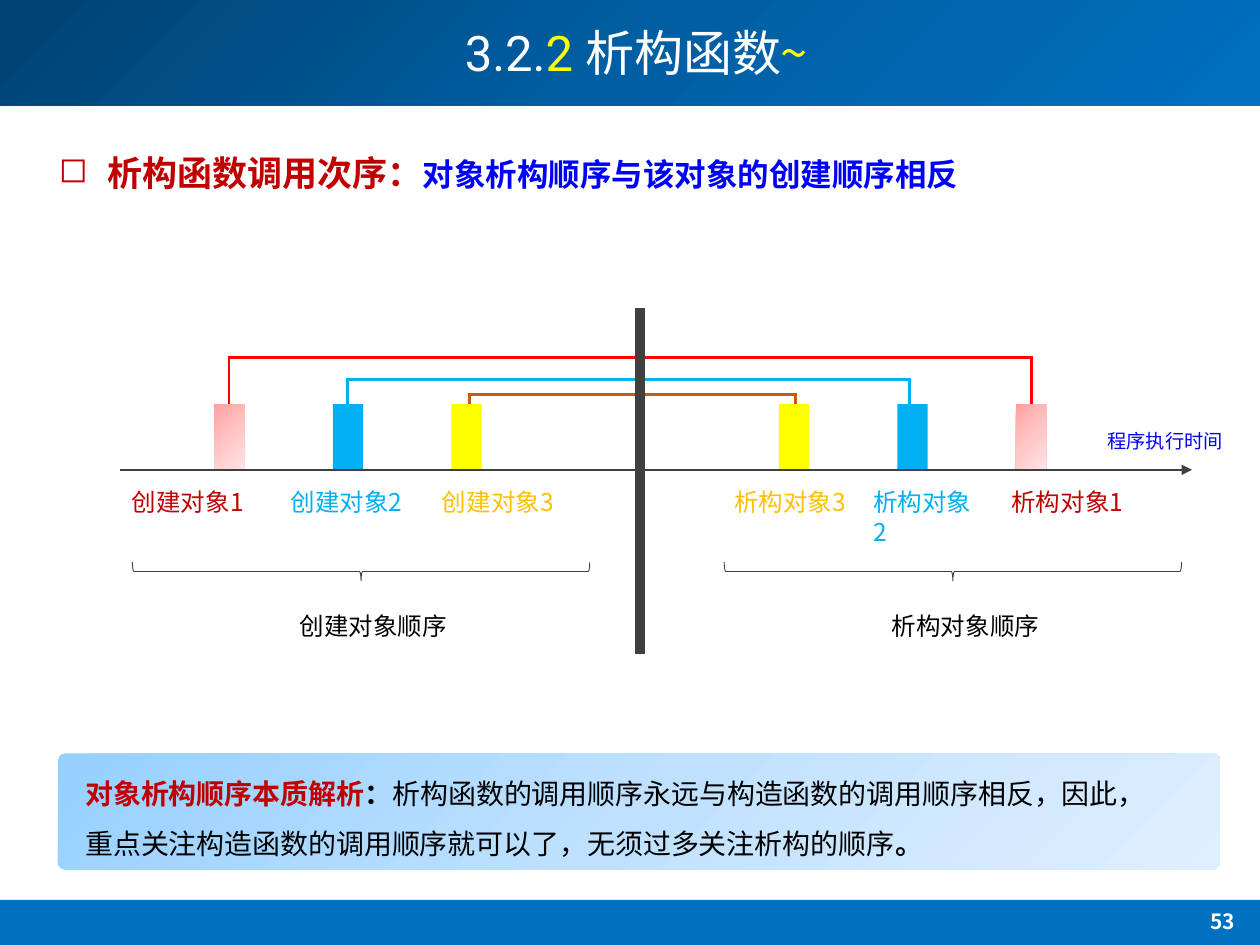
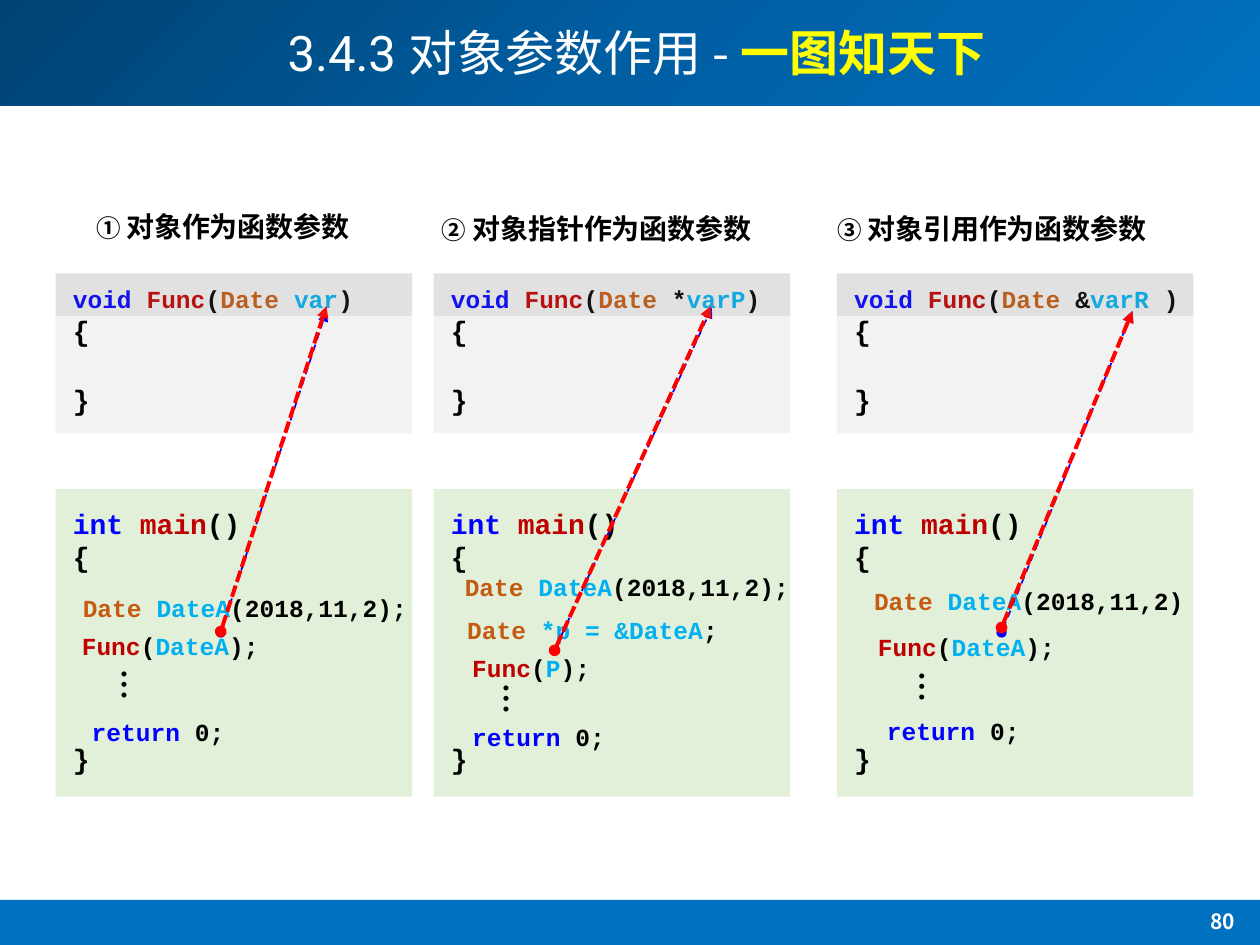
from copy import deepcopy

from lxml import etree
from pptx import Presentation
from pptx.dml.color import RGBColor
from pptx.enum.dml import MSO_LINE
from pptx.enum.shapes import MSO_CONNECTOR, MSO_SHAPE
from pptx.enum.text import MSO_ANCHOR, MSO_AUTO_SIZE, PP_ALIGN
from pptx.oxml.ns import qn
from pptx.util import Cm, Pt

RECT, ROUNDED, BRACE = MSO_SHAPE.RECTANGLE, MSO_SHAPE.ROUNDED_RECTANGLE, MSO_SHAPE.LEFT_BRACE
STRAIGHT = MSO_CONNECTOR.STRAIGHT
LEFT, CENTER, JUSTIFY = PP_ALIGN.LEFT, PP_ALIGN.CENTER, PP_ALIGN.JUSTIFY
DASH, SHORT_DASH = MSO_LINE.DASH, MSO_LINE.SQUARE_DOT
MIDDLE, FIT_TEXT = MSO_ANCHOR.MIDDLE, MSO_AUTO_SIZE.SHAPE_TO_FIT_TEXT

CJK, CODE, TITLE = "Noto Sans CJK SC", "Courier New", "Roboto"

COLORS = {
    "white": "FFFFFF", "black": "000000", "band": "0070C0", "axis": "404040",
    "dark_red": "C00000", "red": "FF0000", "blue": "0000FF", "sky": "00B0F0",
    "yellow": "FFFF00", "amber": "FFC000", "brown": "C55A11",
    "function": "F2F2F2", "main": "E2F0D9", "signature": "808080",
}
GRADIENTS = {
    "header": ("004272", "005EA2", "0070C0"),
    "note": ("96D0FF", "BFE1FF", "E0EFFF"),
    "pink": ("FFA0A0", "FFC5C5", "FFE3E3"),
}


def rgb(name):
    return RGBColor.from_string(COLORS[name])


def write_text(frame, paragraphs, font=CJK, size=14, color="black", bold=False,
               align=LEFT, line_spacing=None, gaps=(), bullet=None, indent=0):
    for index, runs in enumerate(paragraphs):
        paragraph = frame.paragraphs[0] if index == 0 else frame.add_paragraph()
        paragraph.alignment = align
        if line_spacing:
            paragraph.line_spacing = line_spacing
        if index < len(gaps):
            paragraph.space_before = Pt(gaps[index])
        if bullet:
            properties = paragraph._p.get_or_add_pPr()
            properties.set("marL", str(Cm(indent)))
            properties.set("indent", str(-Cm(indent)))
            etree.SubElement(properties, qn("a:buChar")).set("char", bullet)
        for text, *changes in runs:
            style = {"font": font, "size": size, "color": color, "bold": bold}
            if changes:
                style["color"] = changes[0]
            if len(changes) > 1:
                style.update(changes[1])
            run = paragraph.add_run()
            run.text = text
            run.font.name = style["font"]
            run.font.size = Pt(style["size"])
            run.font.bold = style["bold"]
            run.font.color.rgb = rgb(style["color"])
            etree.SubElement(run._r.get_or_add_rPr(), qn("a:ea")).set("typeface", CJK)


def add_text(slide, at, paragraphs, wrap=True, vertical=False, **style):
    frame = slide.shapes.add_textbox(*map(Cm, at)).text_frame
    frame.word_wrap = wrap
    if not wrap:
        frame.auto_size = FIT_TEXT
    if vertical:
        frame._txBody.bodyPr.set("vert", "eaVert")
    write_text(frame, paragraphs, **style)


def fill_gradient(shape, stops):
    shape.fill.gradient()
    shape.fill.gradient_angle = 315
    stop_list = shape._element.spPr.find(".//" + qn("a:gsLst"))
    stop_list.insert(1, deepcopy(stop_list[0]))
    for index, (stop, value) in enumerate(zip(shape.fill.gradient_stops, stops)):
        stop.position = index / 2
        stop.color.rgb = RGBColor.from_string(value)


def add_block(slide, at, fill, kind=RECT, opacity=None):
    block = slide.shapes.add_shape(kind, *map(Cm, at))
    block.shadow.inherit = False
    block.line.fill.background()
    if fill in GRADIENTS:
        fill_gradient(block, GRADIENTS[fill])
    else:
        block.fill.solid()
        block.fill.fore_color.rgb = rgb(fill)
    if opacity:
        color = block._element.spPr.find(".//" + qn("a:srgbClr"))
        etree.SubElement(color, qn("a:alpha")).set("val", str(opacity * 1000))
    return block


def add_brace(slide, at):
    brace = slide.shapes.add_shape(BRACE, *map(Cm, at))
    brace.rotation = 270
    brace.shadow.inherit = False
    brace.fill.background()
    brace.line.color.rgb = rgb("axis")
    brace.line.width = Pt(0.5)


def add_line(slide, start, end, color, width, dash=None, head=None, tail=None):
    connector = slide.shapes.add_connector(STRAIGHT, *map(Cm, (*start, *end)))
    connector.line.color.rgb = rgb(color)
    connector.line.width = Pt(width)
    if dash:
        connector.line.dash_style = dash
    properties = connector._element.spPr
    outline = properties.find(qn("a:ln"))
    for tag, ending in (("a:headEnd", head), ("a:tailEnd", tail)):
        if ending:
            etree.SubElement(outline, qn(tag)).set("type", ending)
    etree.SubElement(properties, qn("a:effectLst"))


def add_bands(layout, slide):
    for at, fill in (((0, 0, 25.4, 2.13), "header"), ((0, 18.14, 25.4, 0.91), "band")):
        layout.shapes._spTree.append(add_block(slide, at, fill)._element)


def add_title(slide, runs, number):
    title = slide.shapes.title
    title.left, title.top, title.width, title.height = map(Cm, (2.16, 0, 21.34, 2.26))
    title.text_frame.vertical_anchor = MIDDLE
    write_text(title.text_frame, [runs], size=28, color="white", align=CENTER, line_spacing=0.9)
    add_text(slide, (23.44, 18.19, 2.41, 0.91), [[(str(number),)]],
             size=12, color="white", bold=True, align=CENTER)


def add_timeline(slide):
    bar_width, bar_top, bar_height, pitch = 0.61, 8.15, 1.32, 2.39
    axis_y = bar_top + bar_height
    fills = ("pink", "sky", "yellow")
    for first_bar, order in ((4.32, fills), (15.7, fills[::-1])):
        for index, fill in enumerate(order):
            add_block(slide, (first_bar + index * pitch, bar_top, bar_width, bar_height), fill)
    add_line(slide, (2.41, axis_y), (24.03, axis_y), "axis", 1, tail="triangle")

    overhang = 0.03
    for created, destroyed, y, color in (
        (4.62, 20.8, 7.21, "red"), (7.01, 18.34, 7.65, "sky"), (9.47, 16.03, 7.95, "brown"),
    ):
        for x in (created, destroyed):
            add_line(slide, (x, bar_top), (x, y), color, 1.5)
        add_line(slide, (destroyed + overhang, y), (created - overhang, y), color, 1.5)

    for x, width, label, color in (
        (2.41, 3.2, "创建对象1", "dark_red"), (5.61, 2.77, "创建对象2", "sky"),
        (8.66, 3.23, "创建对象3", "amber"), (14.55, 3.02, "析构对象3", "amber"),
        (17.35, 2.74, "析构对象2", "sky"), (20.14, 3.71, "析构对象1", "dark_red"),
    ):
        add_text(slide, (x, 9.7, width, 0.86), [[(label,)]], color=color)

    add_line(slide, (12.9, 6.2), (12.9, 13.18), "axis", 6)
    for brace_x, caption_x, caption in ((7.09, 5.79, "创建对象顺序"), (19.02, 17.73, "析构对象顺序")):
        add_brace(slide, (brace_x, 6.91, 0.38, 9.22))
        add_text(slide, (caption_x, 12.19, 3.68, 0.86), [[(caption,)]])
    add_text(slide, (22.07, 8.53, 2.87, 0.74), [[("程序执行时间",)]],
             wrap=False, size=11, color="blue")


def build_destructor_slide(slide):
    add_title(slide, [("3.2.", "white", {"font": TITLE}), ("2 ", "yellow", {"font": TITLE}),
                      ("析构函数",), ("~", "yellow")], 53)
    add_text(slide, (0.94, 2.92, 24.46, 1.12),
             [[("析构函数调用次序：", "dark_red", {"font": "Arial", "size": 20}),
               ("对象析构顺序与该对象的创建顺序相反", "blue")]],
             size=18, bold=True, bullet="◻", indent=0.97)
    add_timeline(slide)
    note = add_block(slide, (1.17, 15.19, 23.42, 2.34), "note", ROUNDED)
    note.adjustments[0] = 0.06
    strong = {"bold": True}
    add_text(slide, (1.47, 15.19, 22.83, 2.16), [
        [("对象析构顺序本质解析", "dark_red", strong), ("：", "black", strong),
         ("析构函数的调用顺序永远与构造函数的调用顺序相反，因此，",)],
        [("重点关注构造函数的调用顺序就可以了，无须过多关注析构的顺序",), ("。", "black", strong)],
    ], size=16, align=JUSTIFY, line_spacing=1.5)


def add_code(slide, at, lines, **style):
    add_text(slide, at, lines, font=CODE, bold=True, **style)


def add_code_column(slide, x, heading, parameter, statements, dots, pointer, underlay):
    number, caption, heading_at = heading
    add_text(slide, heading_at, [[(number, "black", {"size": 14}), (caption,)]],
             font="Arial", size=16, bold=True, align=CENTER)

    width, function_top, text_x = 7.19, 5.51, x + 0.1
    add_block(slide, (x, function_top, width, 3.23), "function")
    add_block(slide, (x, 9.86, width, 6.2), "main")
    signature = [("void ", "blue"), ("Func", "dark_red"), ("(",), *parameter, (")",)]
    signature = [(text, *(color or ["black"]), {"size": 14}) for text, *color in signature]
    add_code(slide, (text_x, 5.61, 7.06, 3), [signature, [("{",)], [("}",)]],
             size=16, gaps=(0, 0, 20))
    add_code(slide, (text_x, 10.08, 6.93, 5.74),
             [[("int ", "blue"), ("main", "dark_red"), ("()",)], [("{",)], [("}",)]],
             size=16, gaps=(0, 0, 96))
    add_text(slide, (*dots, 1.55, 1.35), [[("…",)]],
             vertical=True, font="Calibri", size=24, align=CENTER)
    add_line(slide, *underlay, "blue", 1, DASH, "oval", "triangle")
    for statement_x, y, statement_width, runs in statements:
        add_code(slide, (statement_x, y, statement_width, 0.86), [runs], wrap=False)
    add_line(slide, *pointer, "red", 2.25, SHORT_DASH, "oval", "triangle")
    add_block(slide, (x, function_top, width, 0.86), "signature", opacity=14)


def declaration(ending):
    return [("Date ", "brown"), ("DateA", "sky"), (ending,)]


def call(argument):
    return [("Func", "dark_red"), ("(",), (argument, "sky"), (");",)]


def build_parameter_slide(slide):
    add_title(slide, [("3.4.3 ", "white", {"font": TITLE}), ("对象参数作用 - ",),
                      ("一图知天下", "yellow", {"bold": True})], 80)
    finish = [("return", "blue"), (" 0;",)]
    add_code_column(
        slide, 1.12, ("① ", "对象作为函数参数", (1.22, 4.09, 6.55, 0.94)),
        [("Date ", "brown"), ("var", "sky")],
        [(1.42, 11.84, 7.09, declaration("(2018,11,2);")),
         (1.4, 12.6, 4.09, call("DateA")), (1.6, 14.33, 3.2, finish)],
        dots=(1.88, 13.26), pointer=((4.45, 12.73), (6.58, 6.17)),
        underlay=((4.45, 12.75), (6.58, 6.27)))
    add_code_column(
        slide, 8.74, ("②", " 对象指针作为函数参数", (8.46, 4.14, 7.14, 0.94)),
        [("Date", "brown"), (" *",), ("varP", "sky")],
        [(9.12, 11.4, 7.09, declaration("(2018,11,2);")),
         (9.17, 12.27, 5.59, [("Date", "brown"), (" *p = &DateA", "sky"), (";",)]),
         (9.27, 13.03, 2.9, call("P")), (9.27, 14.43, 3.2, finish)],
        dots=(9.58, 13.54), pointer=((11.18, 13.11), (14.33, 6.17)),
        underlay=((11.18, 13.11), (14.35, 6.2)))
    add_code_column(
        slide, 16.87, ("③ ", "对象引用作为函数参数", (16.43, 4.14, 7.14, 0.94)),
        [("Date ", "brown"), ("&",), ("varR ", "sky")],
        [(17.37, 11.68, 6.78, declaration("(2018,11,2)")),
         (17.45, 12.62, 4.09, call("DateA")), (17.63, 14.3, 3.2, finish)],
        dots=(17.96, 13.31), pointer=((20.19, 12.65), (22.83, 6.27)),
        underlay=((20.19, 12.75), (22.83, 6.27)))


def main():
    deck = Presentation()
    deck.slide_width, deck.slide_height = Cm(25.4), Cm(19.05)
    title_only = deck.slide_layouts[5]
    destructor, parameters = (deck.slides.add_slide(title_only) for _ in range(2))
    add_bands(title_only, destructor)
    build_destructor_slide(destructor)
    build_parameter_slide(parameters)
    deck.save("out.pptx")


if __name__ == "__main__":
    main()
